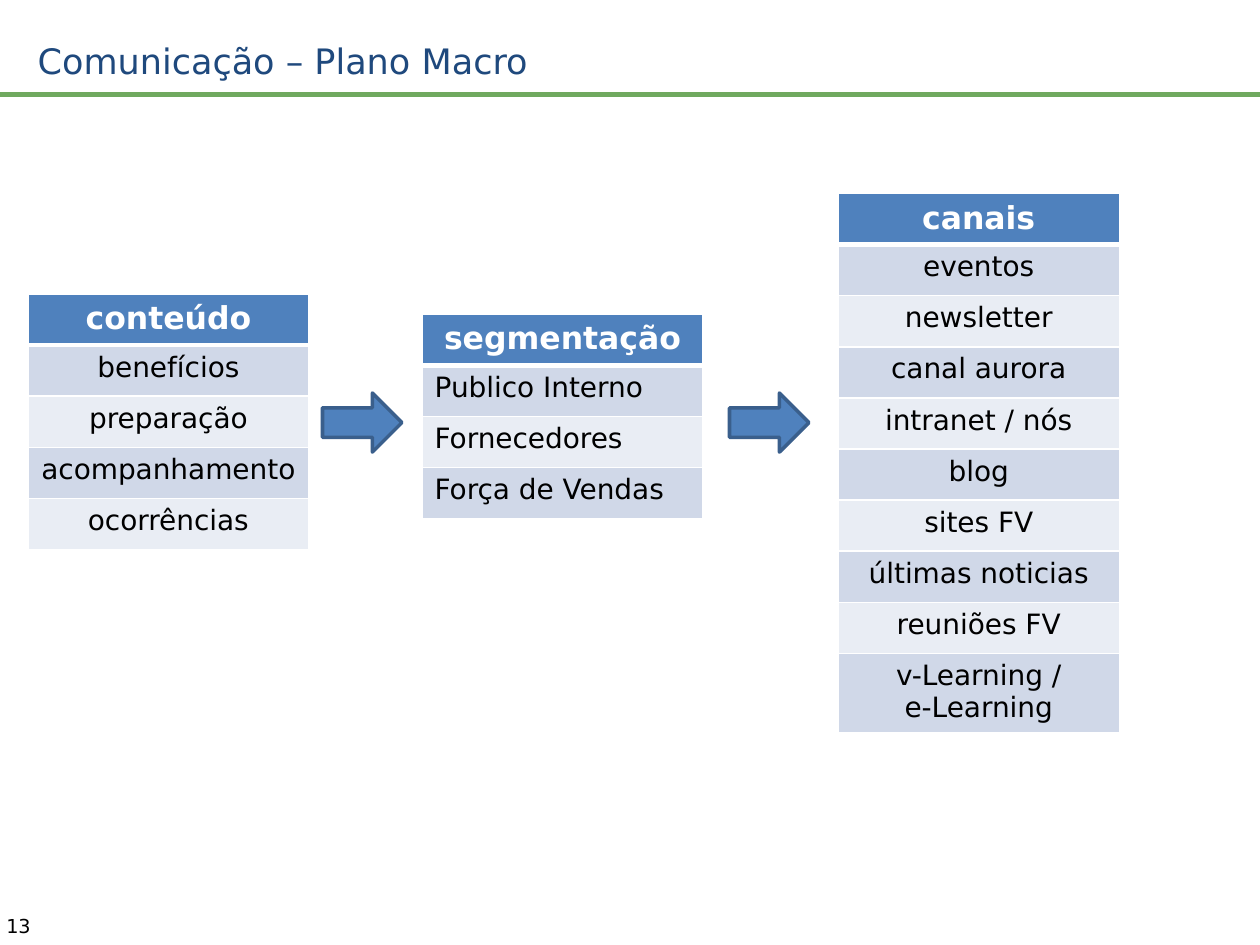
"""Builds the communication macro plan slide: content, segmentation and channels."""
from lxml.etree import SubElement
from pptx import Presentation
from pptx.dml.color import RGBColor
from pptx.enum.shapes import MSO_CONNECTOR, MSO_SHAPE
from pptx.enum.text import MSO_ANCHOR, PP_ALIGN
from pptx.oxml.ns import qn
from pptx.util import Pt

FONT = "DejaVu Sans"
WHITE = RGBColor(0xFF, 0xFF, 0xFF)
BLACK = RGBColor(0x00, 0x00, 0x00)
NAVY = RGBColor(0x1F, 0x49, 0x7D)
GREEN = RGBColor(0x70, 0xA9, 0x5F)
BLUE = RGBColor(0x4F, 0x81, 0xBD)
DARK_BLUE = RGBColor(0x3A, 0x5F, 0x8C)
BAND_DARK = RGBColor(0xD0, 0xD8, 0xE8)
BAND_LIGHT = RGBColor(0xE9, 0xED, 0xF4)

COLUMN_WIDTH = 160.6
ROW_HEIGHT = 29.2
TALL_ROW_HEIGHT = 45.4

CONTENT = ["conteúdo", "benefícios", "preparação", "acompanhamento", "ocorrências"]
SEGMENTS = ["segmentação", "Publico Interno", "Fornecedores", "Força de Vendas"]
CHANNELS = [
    "canais", "eventos", "newsletter", "canal aurora", "intranet / nós", "blog",
    "sites FV", "últimas noticias", "reuniões FV", "v-Learning /\ne-Learning",
]


def style_text(text_frame, size, color, bold=False, align=PP_ALIGN.LEFT):
    for paragraph in text_frame.paragraphs:
        paragraph.alignment = align
        for run in paragraph.runs:
            run.font.name = FONT
            run.font.size = Pt(size)
            run.font.bold = bold
            run.font.color.rgb = color


def add_label(slide, text, left, top, width, height, size, color,
              inset_x=7.2, anchor=MSO_ANCHOR.TOP):
    label = slide.shapes.add_textbox(Pt(left), Pt(top), Pt(width), Pt(height))
    frame = label.text_frame
    frame.word_wrap = True
    frame.vertical_anchor = anchor
    frame.margin_left = frame.margin_right = Pt(inset_x)
    frame.margin_top = frame.margin_bottom = Pt(3.6)
    frame.text = text
    style_text(frame, size, color)


def add_title_rule(slide):
    rule = slide.shapes.add_connector(
        MSO_CONNECTOR.STRAIGHT, Pt(0), Pt(54), Pt(720), Pt(54))
    rule.line.color.rgb = GREEN
    rule.line.width = Pt(3)
    SubElement(rule._element.spPr, qn("a:effectLst"))


def set_borders(cell, widths):
    properties = cell._tc.get_or_add_tcPr()
    for side, width in widths.items():
        border = SubElement(properties, qn(f"a:ln{side}"), w=str(Pt(width)))
        fill = SubElement(border, qn("a:solidFill"))
        SubElement(fill, qn("a:srgbClr"), val=str(WHITE))


def add_list_table(slide, entries, left, top, align=PP_ALIGN.CENTER):
    heights = [TALL_ROW_HEIGHT if "\n" in entry else ROW_HEIGHT for entry in entries]
    table = slide.shapes.add_table(
        len(entries), 1, Pt(left), Pt(top), Pt(COLUMN_WIDTH), Pt(sum(heights))).table
    for index, (entry, height) in enumerate(zip(entries, heights)):
        is_header = index == 0
        table.rows[index].height = Pt(height)
        cell = table.cell(index, 0)
        set_borders(cell, {"L": 1, "R": 1, "T": 3 if index == 1 else 1,
                           "B": 3 if is_header else 1})
        cell.fill.solid()
        cell.text_frame.text = entry
        if is_header:
            cell.fill.fore_color.rgb = BLUE
            style_text(cell.text_frame, 18, WHITE, True, PP_ALIGN.CENTER)
        else:
            cell.fill.fore_color.rgb = BAND_DARK if index % 2 else BAND_LIGHT
            style_text(cell.text_frame, 16, BLACK, False, align)


def add_flow_arrow(slide, left):
    arrow = slide.shapes.add_shape(
        MSO_SHAPE.RIGHT_ARROW, Pt(left), Pt(224.6), Pt(45.4), Pt(33.8))
    arrow.shadow.inherit = False
    arrow.fill.solid()
    arrow.fill.fore_color.rgb = BLUE
    arrow.line.color.rgb = DARK_BLUE
    arrow.line.width = Pt(2)


def main():
    presentation = Presentation()
    presentation.slide_width = Pt(720)
    presentation.slide_height = Pt(540)
    slide = presentation.slides.add_slide(presentation.slide_layouts[6])

    add_title_rule(slide)
    add_label(slide, "13", 0, 519, 36, 21, 11, BLACK, inset_x=3.6)
    add_label(slide, "Comunicação – Plano Macro", 14.4, 20.2, 481.7, 28.8, 20, NAVY,
              anchor=MSO_ANCHOR.MIDDLE)
    add_list_table(slide, SEGMENTS, 241.2, 179.5, PP_ALIGN.LEFT)
    add_list_table(slide, CONTENT, 16, 168)
    add_list_table(slide, CHANNELS, 479, 110.6)
    for left in (184.3, 416.9):
        add_flow_arrow(slide, left)

    presentation.save("out.pptx")


if __name__ == "__main__":
    main()
